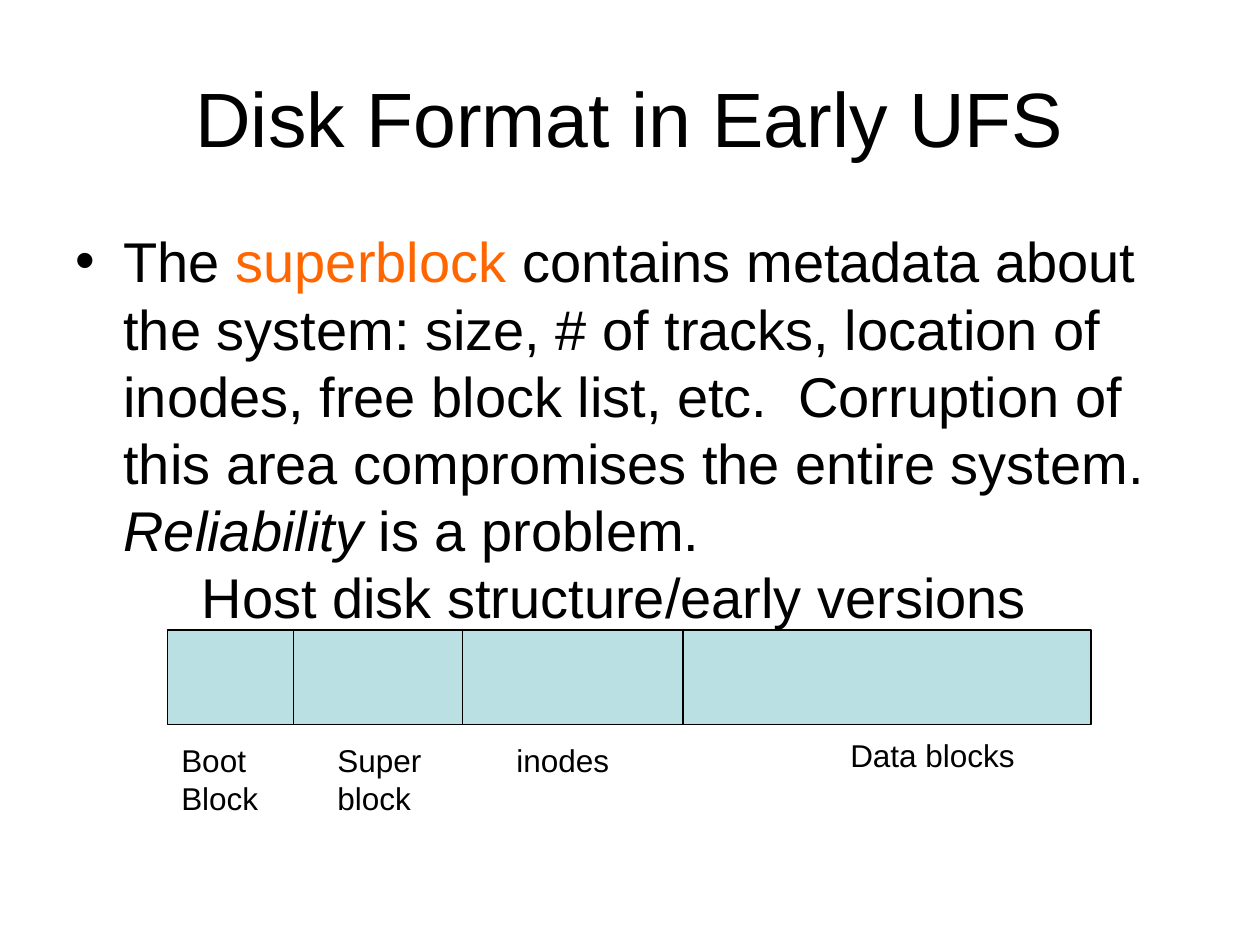
from lxml import etree
from pptx import Presentation
from pptx.dml.color import RGBColor
from pptx.enum.shapes import MSO_CONNECTOR, MSO_SHAPE
from pptx.enum.text import MSO_ANCHOR, MSO_AUTO_SIZE, PP_ALIGN
from pptx.oxml.ns import qn
from pptx.util import Inches, Pt

RECT = MSO_SHAPE.RECTANGLE
STRAIGHT = MSO_CONNECTOR.STRAIGHT
MIDDLE = MSO_ANCHOR.MIDDLE
FIT_SHAPE = MSO_AUTO_SIZE.SHAPE_TO_FIT_TEXT
CENTER = PP_ALIGN.CENTER
COLORS = {"text": "000000", "accent": "FF6600", "disk": "BBE0E3", "line": "000000"}


def rgb(name):
    return RGBColor.from_string(COLORS[name])


def add_run(p, text, size, color="text", italic=False):
    r = p.add_run()
    r.text = text
    r.font.name = "Arial"
    r.font.size = Pt(size)
    r.font.italic = italic
    r.font.color.rgb = rgb(color)


prs = Presentation()
prs.slide_width, prs.slide_height = Inches(10), Inches(7.5)
s = prs.slides.add_slide(prs.slide_layouts[1])

# Title
title = s.shapes.title
title.left, title.top = Inches(0.5), Inches(0.3)
title.width, title.height = Inches(9), Inches(1.25)
title.text_frame.vertical_anchor = MIDDLE
p = title.text_frame.paragraphs[0]
p.alignment = CENTER
add_run(p, "Disk Format in Early UFS", 44)

# Bullet text
body = s.placeholders[1]
body.left, body.top = Inches(0.5), Inches(1.75)
body.width, body.height = Inches(9), Inches(4.95)
p = body.text_frame.paragraphs[0]
p.space_before = Pt(0)
pPr = p._p.get_or_add_pPr()
pPr.set("marL", str(Inches(0.38)))
pPr.set("indent", str(Inches(-0.38)))
etree.SubElement(pPr, qn("a:buFont"), typeface="Arial")
etree.SubElement(pPr, qn("a:buChar"), char="•")
tabs = etree.SubElement(pPr, qn("a:tabLst"))
etree.SubElement(tabs, qn("a:tab"), pos=str(Inches(1)), algn="l")
add_run(p, "The ", 32)
add_run(p, "superblock", 32, "accent")
add_run(p, " contains metadata about the system: size, # of tracks, location of "
           "inodes, free block list, etc.  Corruption of this area compromises "
           "the entire system. ", 32)
add_run(p, "Reliability", 32, italic=True)
add_run(p, " is a problem.", 32)
p.add_line_break()
add_run(p, "\tHost disk structure/early versions", 32)

# Disk bar with its dividers
disk_top, disk_height = 5, 0.75
disk = s.shapes.add_shape(RECT, Inches(1.33), Inches(disk_top),
                          Inches(7.33), Inches(disk_height))
disk.shadow.inherit = False
disk.fill.solid()
disk.fill.fore_color.rgb = rgb("disk")
disk.line.color.rgb = rgb("line")
disk.line.width = Pt(0.75)

for x in (2.33, 3.67, 5.42):
    divider = s.shapes.add_connector(STRAIGHT, Inches(x), Inches(disk_top),
                                     Inches(x), Inches(disk_top + disk_height))
    divider.line.color.rgb = rgb("line")
    divider.line.width = Pt(0.75)
    etree.SubElement(divider._element.spPr, qn("a:effectLst"))

# Labels under the disk areas: left, top, width, height, wrap, lines
labels = [
    (1.34, 5.83, 0.81, 0.7, False, ["Boot", "Block"]),
    (2.58, 5.83, 0.93, 0.7, True, ["Superblock"]),
    (4, 5.83, 1, 0.4, False, ["inodes"]),
    (6.65, 5.79, 1.54, 0.4, False, ["Data blocks"]),
]
for left, top, width, height, wrap, lines in labels:
    box = s.shapes.add_textbox(Inches(left), Inches(top), Inches(width), Inches(height))
    tf = box.text_frame
    tf.word_wrap = wrap
    tf.auto_size = FIT_SHAPE
    for i, line in enumerate(lines):
        p = tf.add_paragraph() if i else tf.paragraphs[0]
        add_run(p, line, 18)

prs.save("out.pptx")
